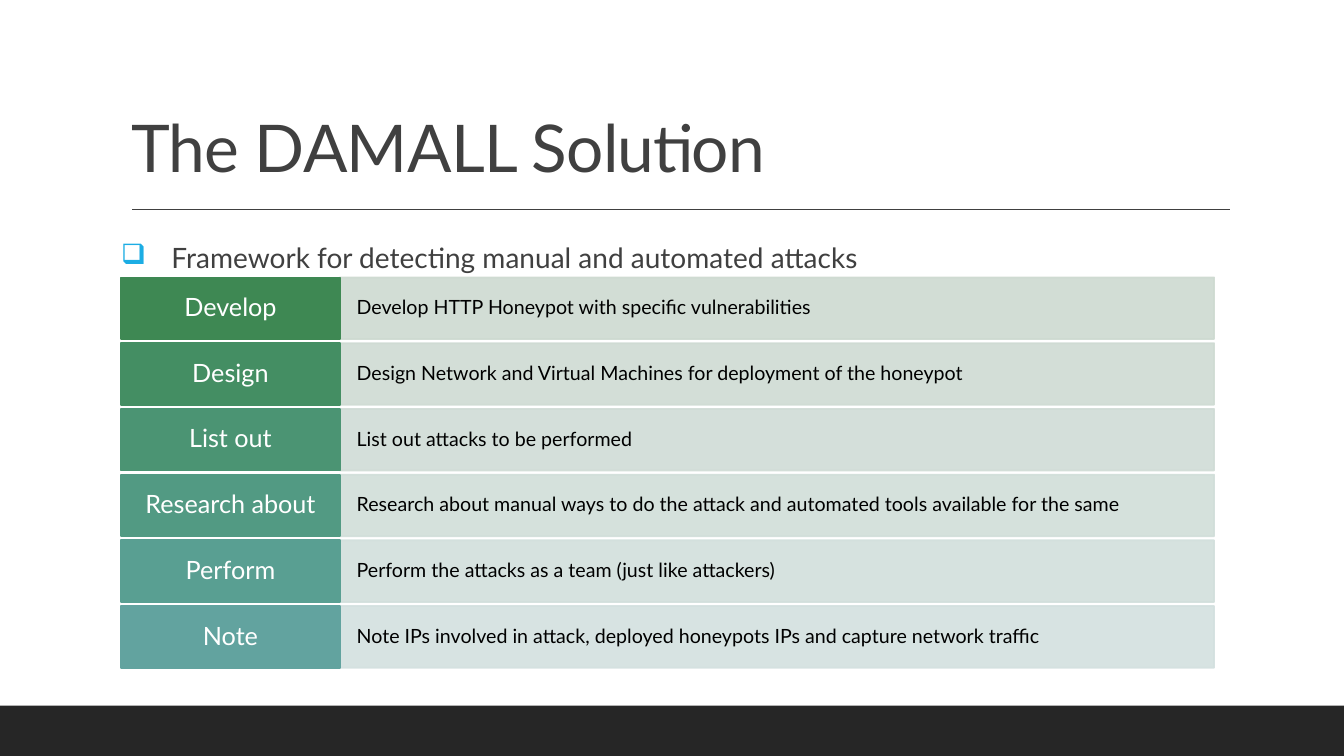
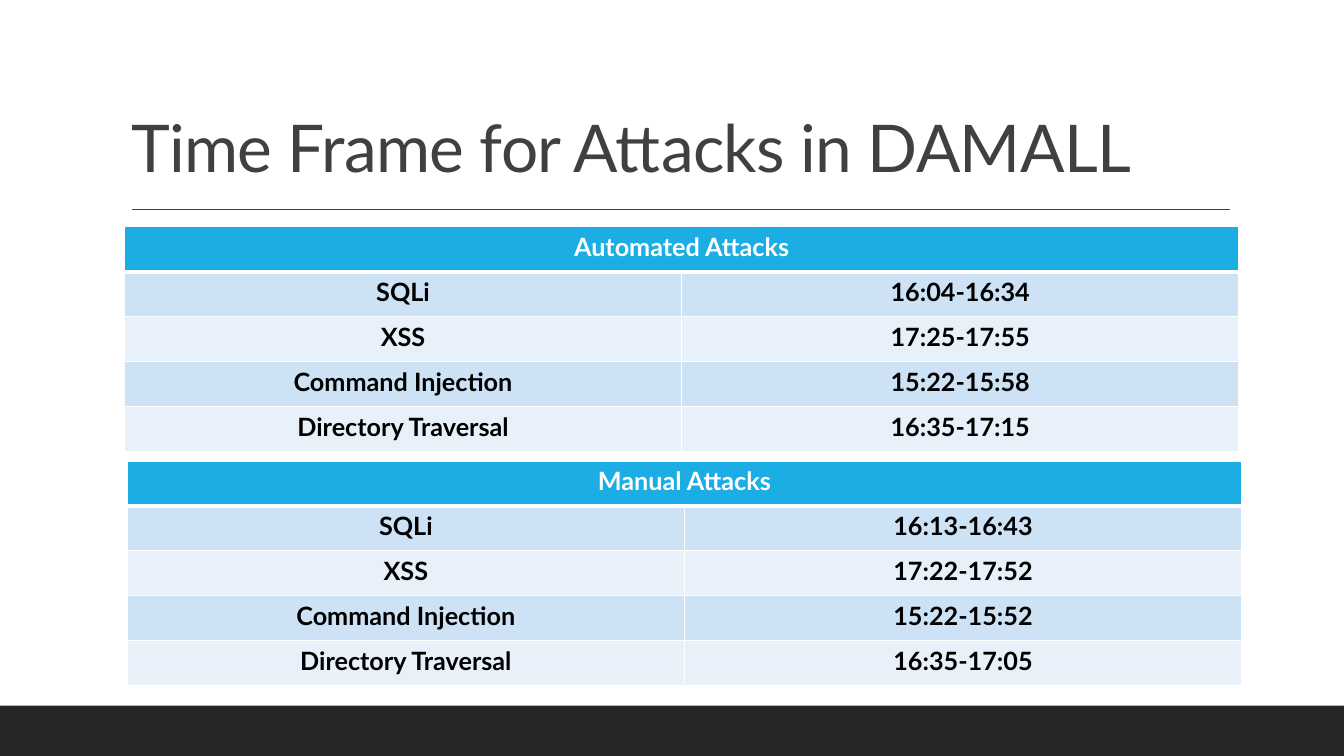
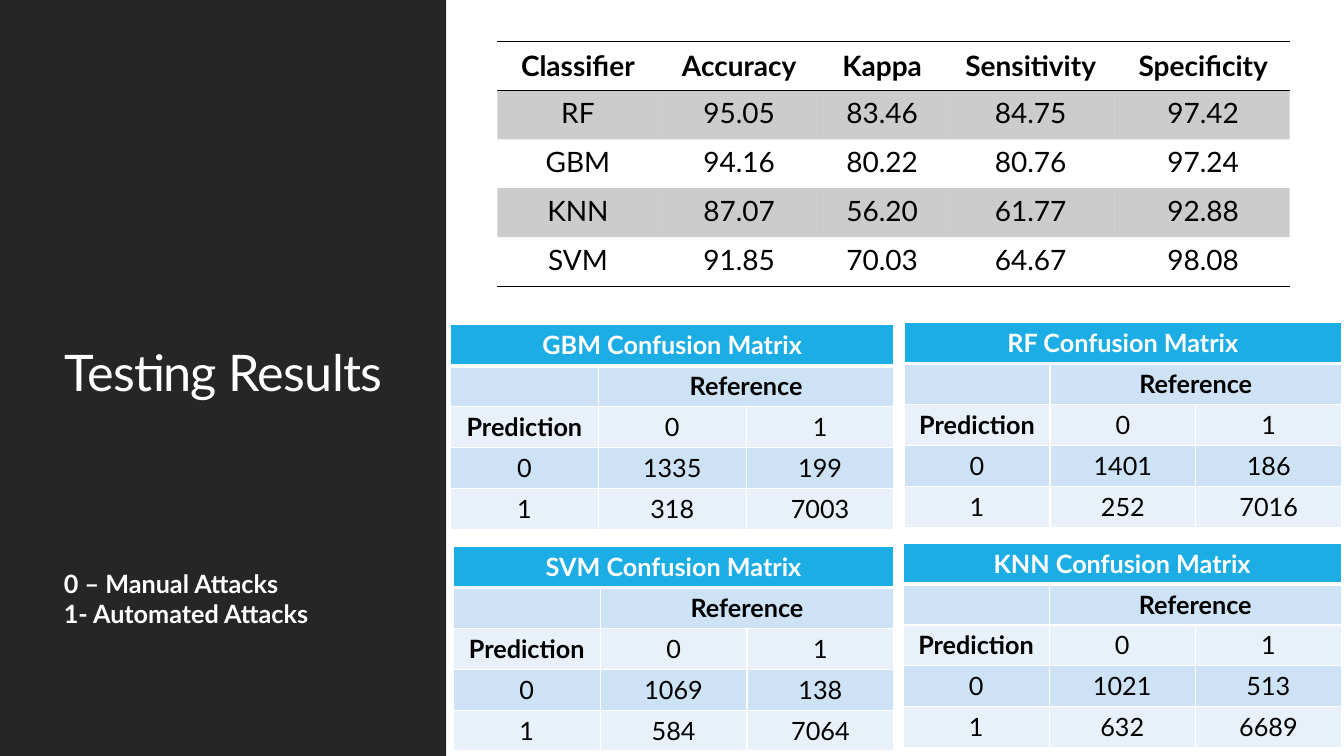
"""Build three slides on the DAMALL honeypot project and its results."""
from lxml import etree
from pptx import Presentation
from pptx.dml.color import RGBColor
from pptx.enum.shapes import MSO_CONNECTOR, MSO_SHAPE
from pptx.enum.text import MSO_ANCHOR, MSO_AUTO_SIZE, PP_ALIGN
from pptx.oxml.ns import qn
from pptx.util import Pt

LEFT, CENTER = PP_ALIGN.LEFT, PP_ALIGN.CENTER
TOP, MIDDLE, BOTTOM = MSO_ANCHOR.TOP, MSO_ANCHOR.MIDDLE, MSO_ANCHOR.BOTTOM
RECTANGLE, STRAIGHT = MSO_SHAPE.RECTANGLE, MSO_CONNECTOR.STRAIGHT
NO_AUTOFIT = MSO_AUTO_SIZE.NONE

FONT = "Lato"
COLORS = {
    "white": "FFFFFF",
    "black": "000000",
    "dark": "262626",
    "gray": "404040",
    "accent": "1CADE4",
    "band": "CDE3F5",
    "light": "E8F1FA",
}
STEPS = [
    ("Develop", "Develop HTTP Honeypot with specific vulnerabilities", "3E8853", "CEDAD1"),
    ("Design", "Design Network and Virtual Machines for deployment of the honeypot",
     "448E63", "CFDBD3"),
    ("List out", "List out attacks to be performed", "4B9473", "D0DCD6"),
    ("Research about",
     "Research about manual ways to do the attack and automated tools available for the same",
     "529A83", "D1DED9"),
    ("Perform", "Perform the attacks as a team (just like attackers)", "599F92", "D2DFDC"),
    ("Note", "Note IPs involved in attack, deployed honeypots IPs and capture network traffic",
     "62A39F", "D3E0DF"),
]
ATTACKS = ["SQLi", "XSS", "Command Injection", "Directory Traversal"]
TIME_FRAMES = [
    ("Automated Attacks", 88.9, 162,
     ["16:04-16:34", "17:25-17:55", "15:22-15:58", "16:35-17:15"]),
    ("Manual Attacks", 90.9, 329.3,
     ["16:13-16:43", "17:22-17:52", "15:22-15:52", "16:35-17:05"]),
]
SCORES = [
    ["Classifier", "Accuracy", "Kappa", "Sensitivity", "Specificity"],
    ["RF", "95.05", "83.46", "84.75", "97.42"],
    ["GBM", "94.16", "80.22", "80.76", "97.24"],
    ["KNN", "87.07", "56.20", "61.77", "92.88"],
    ["SVM", "91.85", "70.03", "64.67", "98.08"],
]
MATRICES = [
    ("GBM", 321.8, 232, 105.6, ["1335", "199"], ["318", "7003"]),
    ("RF", 645.8, 230.5, 104.2, ["1401", "186"], ["252", "7016"]),
    ("SVM", 323.8, 390.5, 104.9, ["1069", "138"], ["584", "7064"]),
    ("KNN", 645, 388, 104.4, ["1021", "513"], ["632", "6689"]),
]


def rgb(color):
    """Turn a colour name or hex string into an RGBColor."""
    return RGBColor.from_string(COLORS.get(color, color))


def write(para, text, size=18, color="black", bold=False, align=LEFT, spacing=None, tracking=None):
    """Write one formatted run into a paragraph."""
    para.alignment = align
    if spacing:
        para.line_spacing = spacing
    span = para.add_run()
    span.text = text
    span.font.name, span.font.size, span.font.bold = FONT, Pt(size), bold
    span.font.color.rgb = rgb(color)
    if tracking:
        span.font._element.set("spc", str(tracking))


def paint(fill, color, alpha=100):
    """Fill with a solid colour of the given opacity in percent."""
    fill.solid()
    fill.fore_color.rgb = rgb(color)
    if alpha < 100:
        tint = fill._xPr.find(qn("a:solidFill")).find(qn("a:srgbClr"))
        etree.SubElement(tint, qn("a:alpha"), val=str(alpha * 1000))


def set_borders(cell, **widths):
    """Draw cell sides from (colour, width) pairs; other sides stay empty."""
    properties = cell._tc.get_or_add_tcPr()
    for side in "LRTB":
        color, width = widths.get(side, (None, 0))
        line = etree.SubElement(properties, qn("a:ln" + side), w=str(Pt(width)))
        if color:
            solid = etree.SubElement(line, qn("a:solidFill"))
            etree.SubElement(solid, qn("a:srgbClr"), val=COLORS[color])
        else:
            etree.SubElement(line, qn("a:noFill"))


class Deck:
    """Hold the presentation, its shared style and the current page."""

    def __init__(self):
        """Start an empty widescreen deck."""
        self.file = Presentation()
        self.file.slide_width, self.file.slide_height = Pt(960), Pt(540)
        self.page = None

    def add_page(self):
        """Start a page with the title-only layout."""
        self.page = self.file.slides.add_slide(self.file.slide_layouts[5])

    def add_headed_page(self, title):
        """Start a page with a top title, a rule and a bottom band."""
        self.add_page()
        self.rectangle(0, 504, 960, 36, "dark")
        self.rule(94.5, 149.6, 878.8)
        self.title(title, 86.5, 22.5, 792, 114.5)

    def title(self, text, left, top, width, height, size=47, color="gray", anchor=BOTTOM):
        """Place the title in front of what is drawn so far."""
        box = self.page.shapes.title
        box.left, box.top, box.width, box.height = map(Pt, (left, top, width, height))
        frame = box.text_frame
        frame.auto_size, frame.word_wrap, frame.vertical_anchor = NO_AUTOFIT, True, anchor
        write(frame.paragraphs[0], text, size, color, spacing=0.9, tracking=-50)
        self.page.shapes._spTree.append(box._element)

    def rectangle(self, left, top, width, height, color, alpha=100, outline=0):
        """Add a filled rectangle with an outline of the same colour or none."""
        box = self.page.shapes.add_shape(RECTANGLE, *map(Pt, (left, top, width, height)))
        box.shadow.inherit = False
        paint(box.fill, color, alpha)
        if outline:
            box.line.width = Pt(outline)
            paint(box.line.fill, color, alpha)
        else:
            box.line.fill.background()
        return box

    def label(self, box, text, inset, **style):
        """Write centred-height text inside a rectangle."""
        frame = box.text_frame
        frame.word_wrap, frame.vertical_anchor = True, MIDDLE
        frame.margin_left = frame.margin_right = Pt(inset)
        frame.margin_top = frame.margin_bottom = Pt(4)
        write(frame.paragraphs[0], text, spacing=0.9, **style)

    def rule(self, left, top, right):
        """Add a thin horizontal line."""
        line = self.page.shapes.add_connector(STRAIGHT, Pt(left), Pt(top), Pt(right), Pt(top))
        line.line.color.rgb, line.line.width = rgb("gray"), Pt(1)
        etree.SubElement(line._element.spPr, qn("a:effectLst"))

    def text(self, lines, left, top, width, height, inset=7.2, **style):
        """Add a text box with one paragraph per line."""
        box = self.page.shapes.add_textbox(*map(Pt, (left, top, width, height)))
        frame = box.text_frame
        frame.word_wrap = True
        frame.margin_left = frame.margin_right = Pt(inset)
        for index, line in enumerate(lines):
            para = frame.add_paragraph() if index else frame.paragraphs[0]
            write(para, line, **style)
        return frame

    def bullet(self, text, left, top, width, height):
        """Add a paragraph with a hollow box bullet."""
        frame = self.text([text], left, top, width, height, inset=0,
                          size=20, color="gray", spacing=1.1)
        para = frame.paragraphs[0]
        para.space_before, para.space_after = Pt(12), Pt(2)
        properties = para._p.get_or_add_pPr()
        properties.set("marL", str(Pt(36)))
        properties.set("indent", str(Pt(-36)))
        tint = etree.SubElement(properties, qn("a:buClr"))
        etree.SubElement(tint, qn("a:srgbClr"), val=COLORS["accent"])
        etree.SubElement(properties, qn("a:buFont"), typeface="Wingdings", charset="2")
        etree.SubElement(properties, qn("a:buChar"), char="q")

    def table(self, rows, left, top, widths, row_height):
        """Add an unstyled table and return it with its cells, places and text."""
        table = self.page.shapes.add_table(
            len(rows), len(widths), Pt(left), Pt(top),
            Pt(sum(widths)), Pt(row_height * len(rows))).table
        table.first_row = table.horz_banding = False
        for column, width in zip(table.columns, widths):
            column.width = Pt(width)
        for row in table.rows:
            row.height = Pt(row_height)
        cells = [(r, c, table.cell(r, c), text)
                 for r, row in enumerate(rows) for c, text in enumerate(row)]
        return table, cells

    def banded_table(self, rows, left, top, widths, row_height, is_bold):
        """Add a table with a blue merged header and pale bands."""
        table, cells = self.table(rows, left, top, widths, row_height)
        for r, c, cell, text in cells:
            thin, thick = ("white", 1), ("white", 3)
            set_borders(cell, L=thin, R=thin, T=thick if r == 1 else thin,
                        B=thick if r == 0 else thin)
            paint(cell.fill, "accent" if r == 0 else "band" if r % 2 else "light")
            if text:
                write(cell.text_frame.paragraphs[0], text, align=CENTER,
                      color="black" if r else "white", bold=is_bold(r, c))
        table.cell(0, 0).merge(table.cell(0, len(widths) - 1))
        return table

    def score_table(self, rows, left, top, widths, row_height):
        """Add a ruled table with gray bands."""
        cells = self.table(rows, left, top, widths, row_height)[1]
        for r, c, cell, text in cells:
            line = ("black", 1)
            sides = {0: {"T": line, "B": line}, 1: {"T": line}, len(rows) - 1: {"B": line}}
            set_borders(cell, **sides.get(r, {}))
            if r % 2:
                paint(cell.fill, "black", 20)
            else:
                cell.fill.background()
            cell.margin_left = cell.margin_right = Pt(8)
            cell.margin_top = cell.margin_bottom = Pt(4)
            cell.vertical_anchor = TOP if r else MIDDLE
            write(cell.text_frame.paragraphs[0], text, 20, bold=r == 0, align=CENTER)


def add_solution(deck):
    """Add the page of project steps."""
    deck.add_headed_page("The DAMALL Solution")
    deck.bullet("Framework for detecting manual and automated attacks", 86.5, 166.2, 792, 30)
    for index, (name, detail, strong, pale) in enumerate(STEPS):
        top = 198.2 + 46.95 * index
        deck.label(deck.rectangle(242.75, top, 624.5, 44, pale, 90, 1.25), detail, 12, size=14)
        deck.label(deck.rectangle(86.5, top, 156.25, 44, strong, outline=1.25), name, 8,
                   color="white", align=CENTER)


def add_time_frames(deck):
    """Add the page of attack times."""
    deck.add_headed_page("Time Frame for Attacks in DAMALL")
    for name, left, top, times in TIME_FRAMES:
        rows = [[name, ""], *zip(ATTACKS, times)]
        deck.banded_table(rows, left, top, [398, 398], 32.1, lambda r, c: True)


def add_results(deck):
    """Add the page of classifier scores and confusion matrices."""
    deck.add_page()
    deck.rectangle(0, 0, 318.75, 540, "dark")
    deck.title("Testing Results", 39, 41, 242.5, 454.5, 36, "white", MIDDLE)
    deck.score_table(SCORES, 355.2, 29.5, [115.25, 115.25, 89, 123.25, 123.25], 35)
    for name, left, top, width, zeros, ones in MATRICES:
        rows = [[name + " Confusion Matrix", "", ""], ["", "Reference", ""],
                ["Prediction", "0", "1"], ["0", *zeros], ["1", *ones]]
        table = deck.banded_table(rows, left, top, [width] * 3, 29.2,
                                  lambda r, c: r < 2 or (r, c) == (2, 0))
        table.cell(1, 1).merge(table.cell(1, 2))
    deck.text(["0 – Manual Attacks", "1- Automated Attacks"], 38.5, 402.5, 231, 51,
              color="white", bold=True)


def main():
    """Build and save the deck."""
    deck = Deck()
    add_solution(deck)
    add_time_frames(deck)
    add_results(deck)
    deck.file.save("out.pptx")


if __name__ == "__main__":
    main()
